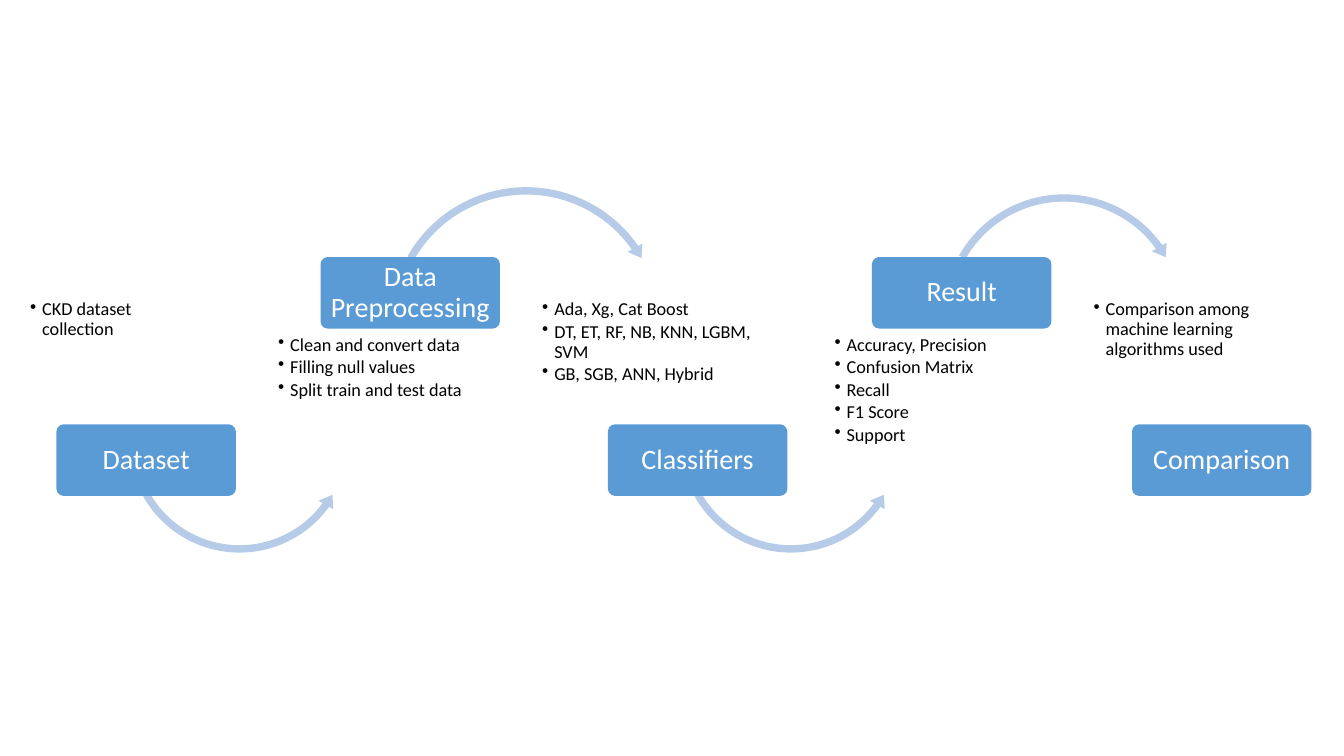
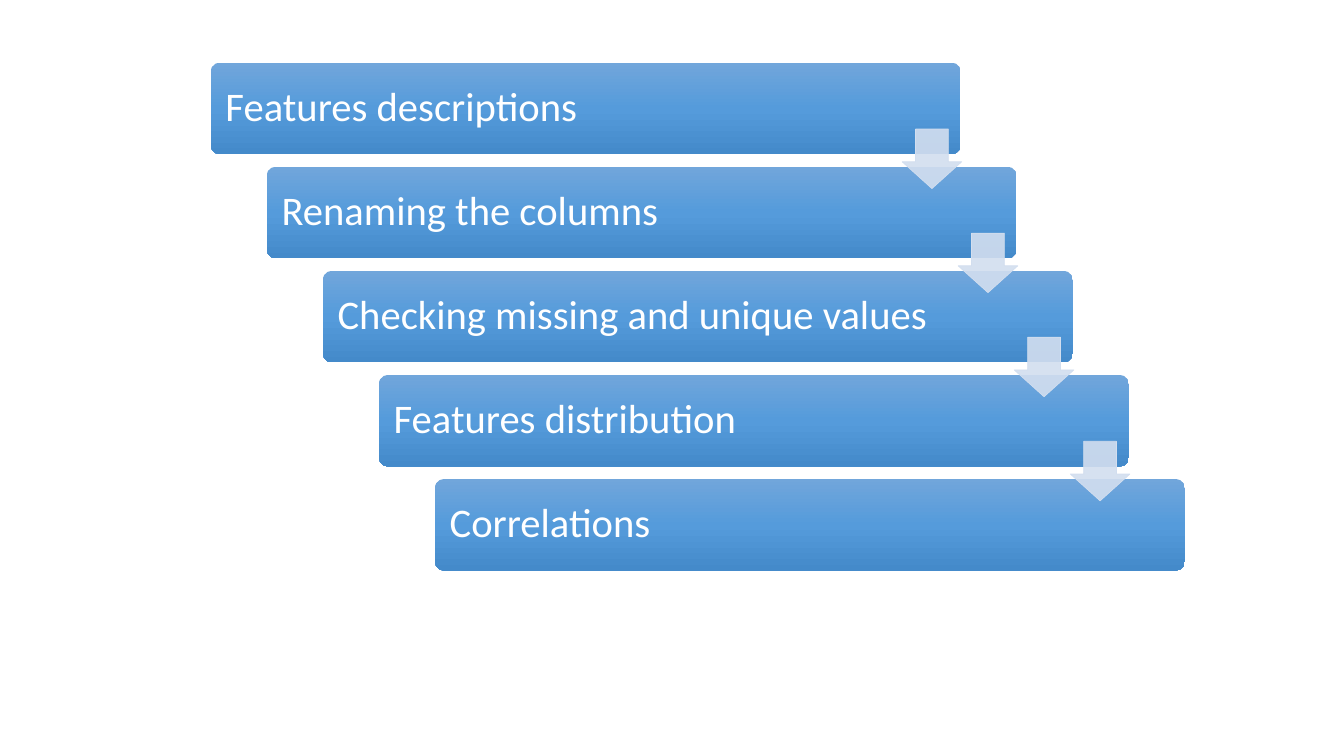
"""Build two slides: a five-step study flow and a staircase of data tasks."""
from copy import deepcopy
from lxml.etree import SubElement
from pptx import Presentation
from pptx.dml.color import RGBColor
from pptx.enum.shapes import MSO_SHAPE as Kind
from pptx.enum.text import MSO_ANCHOR as Anchor, PP_ALIGN as Align
from pptx.oxml.ns import qn
from pptx.util import Inches, Pt

FONT = "Calibri"
WHITE, BLACK = "FFFFFF", "000000"
BLUE, PALE, MIST = "5B9BD5", "B5CBE7", "D2DEEF"
SHADES = [(0, "71A6DB"), (0.5, "559BDB"), (1, "448ACA")]
hue = RGBColor.from_string

deck = Presentation()
deck.slide_width, deck.slide_height = Inches(13.333), Inches(7.5)
col, row = deck.slide_width / 100, deck.slide_height / 100
blank = deck.slide_layouts[6]


def draw(slide, kind, x, y, w, h, fill, adjust, alpha=None):
    """Add a preset shape, placed in percent of the slide."""
    shape = slide.shapes.add_shape(
        kind, round(x * col), round(y * row), round(w * col), round(h * row))
    shape.shadow.inherit = False
    for i, value in enumerate(adjust):
        shape.adjustments[i] = value
    shape.fill.solid()
    shape.fill.fore_color.rgb = hue(fill)
    shape.line.fill.background()
    if alpha:
        for tint in shape._element.spPr.iter(qn("a:srgbClr")):
            SubElement(tint, qn("a:alpha")).set("val", str(alpha * 1000))
    return shape


def write(shape, text, size, color, align, anchor, pads):
    """Fill a shape with evenly styled paragraphs."""
    frame = shape.text_frame
    frame.text = text
    frame.word_wrap = True
    frame.vertical_anchor = anchor
    frame.margin_left = frame.margin_right = Inches(pads[0])
    frame.margin_top, frame.margin_bottom = Inches(pads[1]), Inches(pads[2])
    for para in frame.paragraphs:
        para.alignment = align
        para.line_spacing = 0.9
        para.space_after = Pt(2)
        font = para.runs[0].font
        font.name, font.size, font.color.rgb = FONT, Pt(size), hue(color)
    return frame.paragraphs


STEPS = [
    ("Dataset", 4.2, 1.73, 13.28, ["CKD dataset collection"]),
    ("Data Preprocessing", 23.85, 20.18, 15.83,
     ["Clean and convert data", "Filling null values",
      "Split train and test data"]),
    ("Classifiers", 45.23, 39.83, 19.13,
     ["Ada, Xg, Cat Boost", "DT, ET, RF, NB, KNN, LGBM, SVM",
      "GB, SGB, ANN, Hybrid"]),
    ("Result", 64.88, 61.58, 15.08,
     ["Accuracy, Precision", "Confusion Matrix", "Recall", "F1 Score",
      "Support"]),
    ("Comparison", 84.23, 80.85, 15.08,
     ["Comparison among machine learning algorithms used"]),
]
DIP = (Kind.LEFT_CIRCULAR_ARROW, 5.03, 43.2, 17.18,
       [0.032, 3.89, 21.645, 90.245, 0.037])
ARCS = [
    DIP,
    (Kind.CIRCULAR_ARROW, 4.8, 24.13, 21,
     [0.026, 3.138, 195.107, 125.755, 0.03]),
    DIP,
    (Kind.CIRCULAR_ARROW, 4.95, 25.07, 18.68,
     [0.029, 3.561, 194.684, 125.755, 0.034]),
]

flow = deck.slides.add_slide(blank)
for i, (name, left, edge, width, notes) in enumerate(STEPS):
    high = i % 2 == 1
    panel = draw(flow, Kind.ROUNDED_RECTANGLE, edge, 38.8, width, 22,
                 WHITE, [0.1], 90)
    for para in write(panel, "\n".join(notes), 13, BLACK, Align.LEFT,
                      Anchor.TOP, (0.02, 0.37 if high else 0.02, 0.02)):
        para.level = 1
        props = para._p.get_or_add_pPr()
        props.set("marL", str(Inches(0.12)))
        props.set("indent", str(-Inches(0.12)))
        SubElement(props, qn("a:buChar")).set("char", "•")
    if i < len(ARCS):
        kind, shift, top, size, adjust = ARCS[i]
        draw(flow, kind, left + shift, top, size, size * 16 / 9, PALE, adjust)
    card = draw(flow, Kind.ROUNDED_RECTANGLE, left, 34 if high else 56.13,
                13.35, 9.47, BLUE, [0.1])
    write(card, name, 20, WHITE, Align.CENTER, Anchor.MIDDLE,
          (0.04, 0.03, 0.03))

TASKS = ["Features descriptions", "Renaming the columns",
         "Checking missing and unique values", "Features distribution",
         "Correlations"]
spots = [(15.68 + 4.17 * i, 8.27 + 13.77 * i) for i in range(len(TASKS))]

stairs = deck.slides.add_slide(blank)
for task, (x, y) in zip(TASKS, spots):
    bar = draw(stairs, Kind.ROUNDED_RECTANGLE, x, y, 55.8, 12.13, BLUE, [0.1])
    bar.fill.gradient()
    bar.fill.gradient_angle = 270
    stops = bar._element.spPr.find(".//" + qn("a:gsLst"))
    stops.insert(1, deepcopy(stops[0]))
    for stop, (place, shade) in zip(bar.fill.gradient_stops, SHADES):
        stop.position = place
        stop.color.rgb = hue(shade)
    write(bar, task, 29, WHITE, Align.LEFT, Anchor.MIDDLE, (0.12, 0.12, 0.12))

for x, y in spots[:-1]:
    arrow = draw(stairs, Kind.DOWN_ARROW, x + 51.45, y + 8.8, 4.43, 7.87,
                 MIST, [0.55, 0.45], 90)
    arrow.line.color.rgb = hue(MIST)
    arrow.line.width = Pt(0.5)

deck.save("out.pptx")
